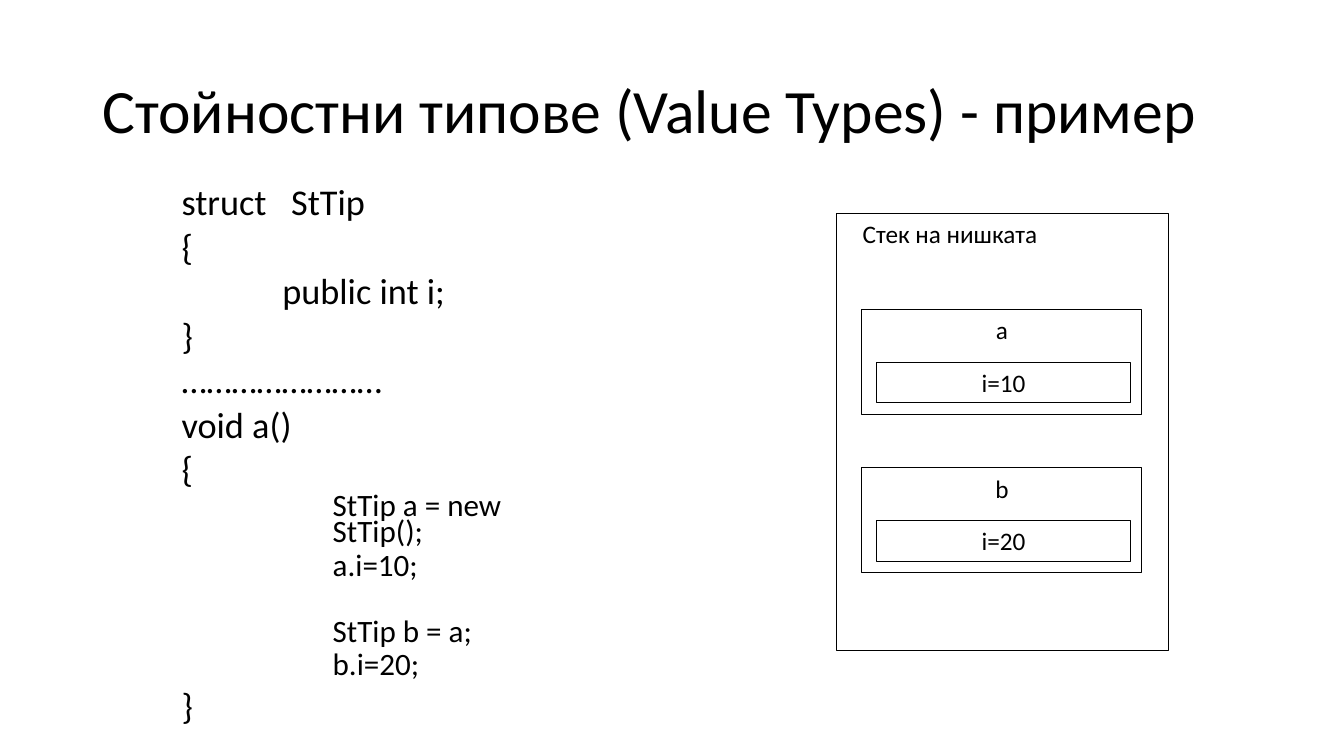
from dataclasses import dataclass

import pptx
import pptx.dml.color
import pptx.enum.text
import pptx.oxml.xmlchemy
import pptx.util
from pptx.enum.shapes import MSO_SHAPE
from pptx.enum.text import MSO_ANCHOR, MSO_AUTO_SIZE, PP_ALIGN
from pptx.util import Cm, Pt


@dataclass(frozen=True)
class Theme:
    font: str = "Calibri"
    ink: pptx.dml.color.RGBColor = pptx.dml.color.RGBColor(0, 0, 0)
    title_size: float = 44
    code_size: float = 25.9
    inner_code_size: float = 22.2
    label_size: float = 18
    line_width: float = 0.75


class SlideBuilder:
    def __init__(self, page, theme):
        self.page = page
        self.theme = theme

    def style(self, para, size):
        para.font.name = self.theme.font
        para.font.size = Pt(size)
        para.font.color.rgb = self.theme.ink

    def place(self, shape, left, top, width, height):
        shape.left, shape.top = Cm(left), Cm(top)
        shape.width, shape.height = Cm(width), Cm(height)

    def title(self, text, *area):
        title = self.page.shapes.title
        self.place(title, *area)
        frame = title.text_frame
        frame.text = text
        frame.auto_size = MSO_AUTO_SIZE.NONE
        frame.vertical_anchor = MSO_ANCHOR.MIDDLE
        para = frame.paragraphs[0]
        para.alignment = PP_ALIGN.LEFT
        para.line_spacing = 0.9
        self.style(para, self.theme.title_size)

    def code(self, lines, *area):
        """Fill the body; each line is (text, level, indent in cm, space before in pt)."""
        body = self.page.placeholders[1]
        self.place(body, *area)
        frame = body.text_frame
        frame.auto_size = MSO_AUTO_SIZE.NONE
        frame.text = "\n".join(line[0] for line in lines)
        for para, (_, level, indent, space) in zip(frame.paragraphs, lines):
            para.level = level
            para.line_spacing = 0.7
            para.space_before = Pt(space)
            self.indent(para, indent)
            size = self.theme.inner_code_size if level else self.theme.code_size
            self.style(para, size)

    def indent(self, para, distance):
        """Set the left margin and switch the bullet off."""
        properties = para._p.get_or_add_pPr()
        properties.set("marL", str(Cm(distance)))
        properties.set("indent", "0")
        properties.append(pptx.oxml.xmlchemy.OxmlElement("a:buNone"))

    def box(self, text, *area, alignment=PP_ALIGN.CENTER, indent=0):
        box = self.page.shapes.add_shape(
            MSO_SHAPE.RECTANGLE, *(Cm(length) for length in area))
        box.shadow.inherit = False
        box.fill.background()
        box.line.color.rgb = self.theme.ink
        box.line.width = Pt(self.theme.line_width)
        frame = box.text_frame
        frame.text = text
        frame.vertical_anchor = MSO_ANCHOR.TOP
        para = frame.paragraphs[0]
        para.alignment = alignment
        self.indent(para, indent)
        self.style(para, self.theme.label_size)


CODE = [
    ("struct   StTip", 0, 0, 0),
    ("{", 0, 0, 10),
    ("public int i;", 0, 2.54, 10),
    ("}", 0, 0, 10),
    ("……………………", 0, 0, 10),
    ("void a()", 0, 0, 10),
    ("{", 0, 0, 10),
    ("StTip a = new StTip();", 1, 3.81, 5),
    ("a.i=10;", 1, 3.81, 5),
    ("StTip b = a;", 1, 3.81, 29),
    ("b.i=20;", 1, 3.81, 5),
    ("}", 0, 0, 10),
]
VARIABLES = [("a", "i=10"), ("b", "i=20")]


def main():
    deck = pptx.Presentation()
    deck.slide_width, deck.slide_height = Cm(33.87), Cm(19.05)
    page = deck.slides.add_slide(deck.slide_layouts[1])
    builder = SlideBuilder(page, Theme())

    builder.title("Стойностни типове (Value Types) - пример", 2.33, 1.01, 29.21, 3.68)
    builder.code(CODE, 4.32, 4.7, 11.02, 13.72)

    builder.box("Стек на нишката", 21.08, 5.38, 8.38, 11.02,
                alignment=PP_ALIGN.LEFT, indent=0.41)
    for row, (name, value) in enumerate(VARIABLES):
        top = 7.8 + row * 3.99
        builder.box(name, 21.72, top, 7.06, 2.64)
        builder.box(value, 22.09, top + 1.33, 6.4, 1.02)

    deck.save("out.pptx")


if __name__ == "__main__":
    main()
